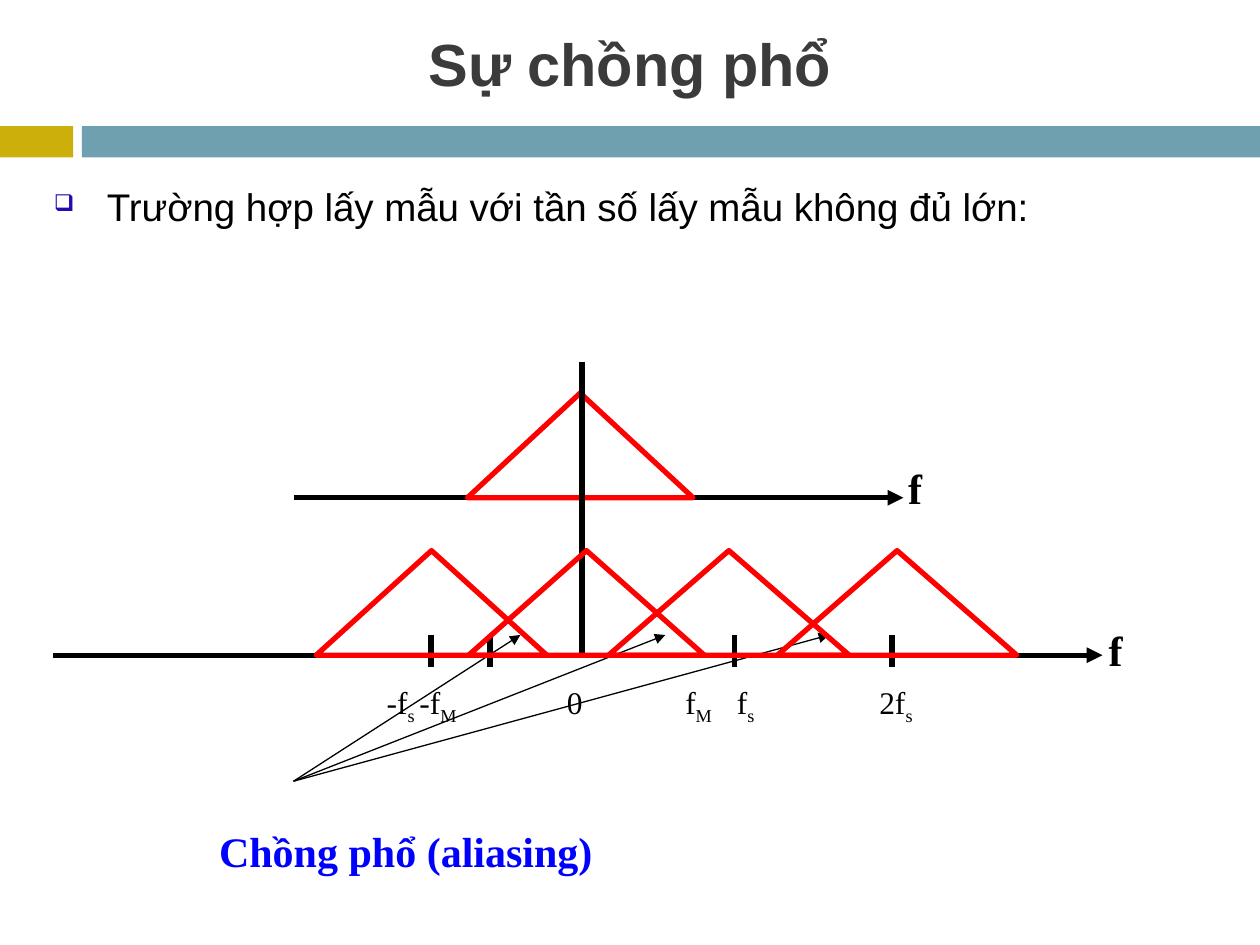
from lxml import etree
from pptx import Presentation
from pptx.dml.color import RGBColor
from pptx.enum.shapes import MSO_CONNECTOR, MSO_SHAPE
from pptx.enum.text import MSO_ANCHOR, PP_ALIGN
from pptx.oxml.ns import qn
from pptx.util import Inches, Pt

RECT, TRIANGLE = MSO_SHAPE.RECTANGLE, MSO_SHAPE.ISOSCELES_TRIANGLE
STRAIGHT = MSO_CONNECTOR.STRAIGHT
MIDDLE, TOP = MSO_ANCHOR.MIDDLE, MSO_ANCHOR.TOP
LEFT, CENTER = PP_ALIGN.LEFT, PP_ALIGN.CENTER

BLACK = RGBColor(0x00, 0x00, 0x00)
GRAY = RGBColor(0x3B, 0x3B, 0x3B)
RED = RGBColor(0xFF, 0x00, 0x00)
BLUE = RGBColor(0x00, 0x00, 0xFF)
GOLD = RGBColor(0xCC, 0xAF, 0x0A)
TEAL = RGBColor(0x6E, 0xA0, 0xB0)

TITLE = {"name": "Arial", "size": Pt(34), "bold": True}
BODY = {"name": "Arial", "size": Pt(22), "bold": False}
LABEL = {"name": "Times New Roman", "size": Pt(18), "bold": False}
STRONG = {"name": "Times New Roman", "size": Pt(24), "bold": True}


class SlideBuilder:
    """Draws styled elements on the current slide."""

    def __init__(self, slide):
        self.s = slide

    def bar(self, x, y, w, h, color):
        sp = self.s.shapes.add_shape(RECT, Inches(x), Inches(y), Inches(w), Inches(h))
        sp.shadow.inherit = False
        sp.fill.solid()
        sp.fill.fore_color.rgb = color
        sp.line.fill.background()

    def spectrum(self, x, y, w, h=0.83):
        sp = self.s.shapes.add_shape(TRIANGLE, Inches(x), Inches(y), Inches(w), Inches(h))
        sp.shadow.inherit = False
        sp.fill.background()
        sp.line.color.rgb = RED
        sp.line.width = Pt(3)

    def line(self, x1, y1, x2, y2, width=3, arrow=False):
        cx = self.s.shapes.add_connector(STRAIGHT, Inches(x1), Inches(y1), Inches(x2), Inches(y2))
        cx.line.color.rgb = BLACK
        cx.line.width = Pt(width)
        if arrow:
            etree.SubElement(cx.line._get_or_add_ln(), qn("a:tailEnd"), type="triangle")
        etree.SubElement(cx._element.spPr, qn("a:effectLst"))

    def text(self, x, y, w, h, runs, style, color=BLACK, align=LEFT, anchor=TOP,
             bullet=False, tabs=()):
        tf = self.s.shapes.add_textbox(Inches(x), Inches(y), Inches(w), Inches(h)).text_frame
        tf.word_wrap = True
        tf.vertical_anchor = anchor
        p = tf.paragraphs[0]
        p.alignment = align
        if bullet:
            self.bullet(p)
        if tabs:
            tab_list = etree.SubElement(p._p.get_or_add_pPr(), qn("a:tabLst"))
            for pos in tabs:
                etree.SubElement(tab_list, qn("a:tab"), pos=str(Inches(pos)), algn="l")
        for content, base in runs:
            r = p.add_run()
            r.text = content
            for key, value in style.items():
                setattr(r.font, key, value)
            r.font.color.rgb = color
            if base:
                r.font._element.set("baseline", str(base * 1000))

    def bullet(self, p):
        p.line_spacing = 1.2
        pPr = p._p.get_or_add_pPr()
        pPr.set("marL", str(Inches(0.42)))
        pPr.set("indent", str(-Inches(0.42)))
        color = etree.SubElement(pPr, qn("a:buClr"))
        etree.SubElement(color, qn("a:srgbClr"), val="2909AF")
        etree.SubElement(pPr, qn("a:buSzPct"), val="60000")
        etree.SubElement(pPr, qn("a:buChar"), char="❑")


def main():
    prs = Presentation()
    prs.slide_width, prs.slide_height = Inches(10), Inches(7.5)
    b = SlideBuilder(prs.slides.add_slide(prs.slide_layouts[6]))

    b.bar(0, 1, 0.58, 0.25, GOLD)
    b.bar(0.65, 1, 9.35, 0.25, TEAL)
    b.text(0.33, 1.33, 9.33, 0.75,
           [("Trường hợp lấy mẫu với tần số lấy mẫu không đủ lớn:", 0)], BODY, bullet=True)

    b.line(2.33, 3.95, 7.17, 3.95, arrow=True)
    b.spectrum(3.71, 3.12, 1.79)
    b.line(0.42, 5.2, 8.75, 5.2, arrow=True)
    b.line(4.62, 2.87, 4.62, 5.2)

    labels = [("-f", "s"), ("-f", "M"), ("0", ""), ("f", "M"), ("f", "s"), ("2f", "s")]
    runs = []
    for symbol, subscript in labels:
        runs.append(("\t" + symbol, 0))
        if subscript:
            runs.append((subscript, -25))
    b.text(1.42, 5.37, 6.58, 0.4, runs, LABEL, tabs=(1.55, 1.81, 2.98, 3.92, 4.33, 5.46))
    for x in (3.42, 3.89, 5.83, 7.08):
        b.line(x, 5.04, x, 5.29)

    for x, y in ((7.11, 3.62), (8.7, 4.91)):
        b.text(x, y, 1.17, 0.5, [("f", 0)], STRONG)
    b.text(1.64, 6.5, 4.26, 0.5, [("Chồng phổ (aliasing)", 0)], STRONG, BLUE)
    for x in (4.13, 5.28, 6.58):
        b.line(2.33, 6.2, x, 5.04, width=0.75, arrow=True)
    for x, w in ((3.72, 1.87), (4.83, 1.91), (2.51, 1.83), (6.17, 1.9)):
        b.spectrum(x, 4.37, w)

    b.text(0, 0.08, 10, 0.83, [("Sự chồng phổ", 0)], TITLE, GRAY, CENTER, MIDDLE)
    prs.save("out.pptx")


if __name__ == "__main__":
    main()
